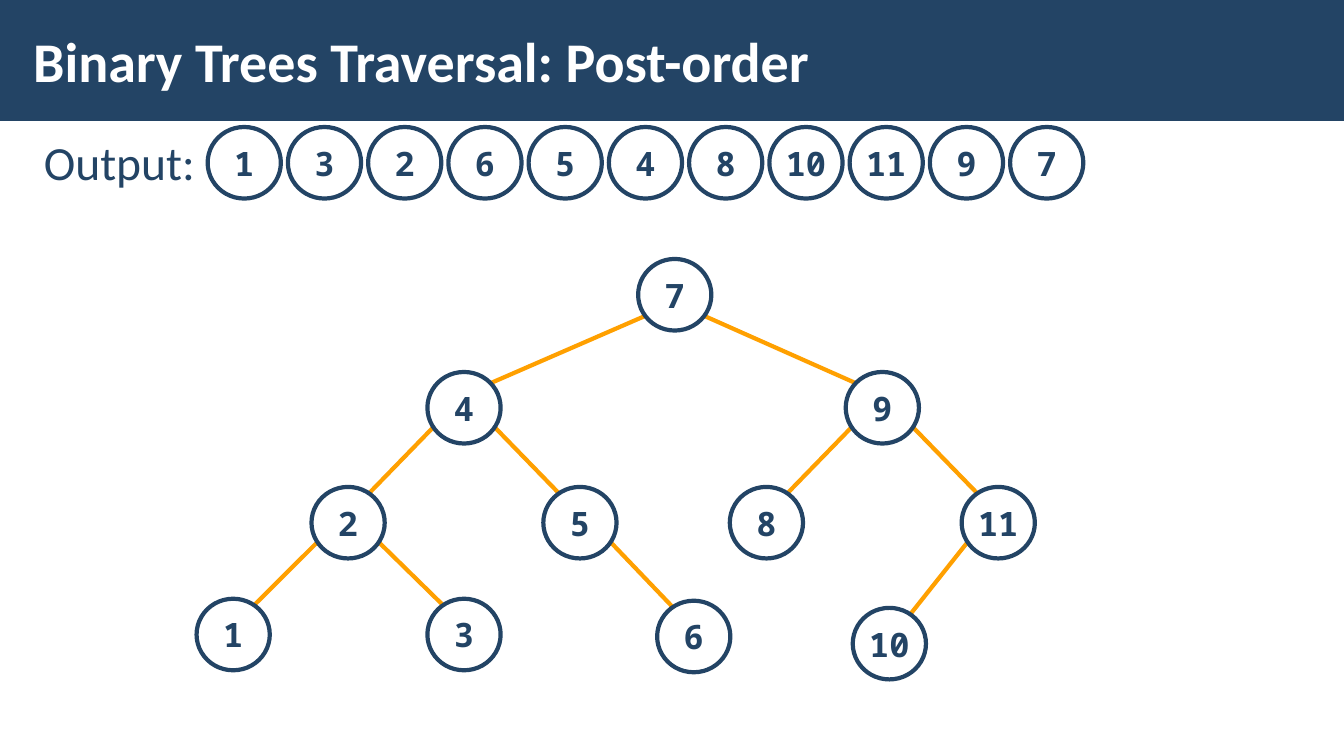
from lxml import etree
from pptx import Presentation
from pptx.dml.color import RGBColor
from pptx.enum.shapes import MSO_CONNECTOR, MSO_SHAPE
from pptx.enum.text import MSO_ANCHOR, PP_ALIGN
from pptx.oxml.ns import qn
from pptx.util import Pt

NAVY = RGBColor(0x23, 0x44, 0x65)
ORANGE = RGBColor(0xFF, 0xA0, 0x00)
WHITE = RGBColor(0xFF, 0xFF, 0xFF)
NODE_WIDTH, NODE_HEIGHT = 52.3, 51.1

# Left and top of each tree node
NODES = {
    7: (455.8, 185),
    4: (305.3, 265.7), 9: (604.1, 265.7),
    2: (222.5, 347.8), 5: (388.1, 347.8), 8: (521.3, 347.8), 11: (686.9, 347.8),
    1: (140.4, 427.7), 3: (305.3, 427.7), 6: (469.4, 429.1), 10: (609.1, 434.2),
}
EDGES = [(7, 4), (7, 9), (4, 2), (4, 5), (9, 8), (9, 11),
         (2, 1), (2, 3), (5, 6), (11, 10)]
ROOT = 7
POST_ORDER = [1, 3, 2, 6, 5, 4, 8, 10, 11, 9, 7]
OUTPUT_LEFT, OUTPUT_TOP, OUTPUT_STEP = 148.3, 90.7, 57.32

presentation = Presentation()
presentation.slide_width, presentation.slide_height = Pt(960), Pt(540)
slide = presentation.slides.add_slide(presentation.slide_layouts[5])
shapes = slide.shapes


def add_node(value, left, top, filled):
    """Draw a numbered circle, half-transparent white when filled."""
    node = shapes.add_shape(MSO_SHAPE.OVAL, Pt(left), Pt(top),
                            Pt(NODE_WIDTH), Pt(NODE_HEIGHT))
    node.shadow.inherit = False
    if filled:
        node.fill.solid()
        node.fill.fore_color.rgb = WHITE
        color = node.element.spPr.find(qn("a:solidFill"))[0]
        etree.SubElement(color, qn("a:alpha"), val="50000")
    else:
        node.fill.background()
    node.line.color.rgb = NAVY
    node.line.width = Pt(3)
    frame = node.text_frame
    frame.word_wrap = False
    frame.vertical_anchor = MSO_ANCHOR.MIDDLE
    paragraph = frame.paragraphs[0]
    paragraph.text = str(value)
    paragraph.alignment = PP_ALIGN.CENTER
    style_font(paragraph.font, "Noto Sans Mono", 24, NAVY, True)


def style_font(font, name, size, color, bold):
    font.name, font.size, font.bold = name, Pt(size), bold
    font.color.rgb = color


# Title on its bar
title = shapes.title
bar = shapes.add_shape(MSO_SHAPE.RECTANGLE, 0, 0, Pt(960), Pt(86.4))
bar.shadow.inherit = False
bar.fill.solid()
bar.fill.fore_color.rgb = NAVY
bar.line.fill.background()
title.element.addprevious(bar.element)

title.left, title.top, title.width, title.height = Pt(15.1), Pt(7.9), Pt(765.4), Pt(69.8)
frame = title.text_frame
frame.text = "Binary Trees Traversal: Post-order"
frame.word_wrap = True
frame.vertical_anchor = MSO_ANCHOR.MIDDLE
frame.margin_left = frame.margin_right = Pt(8.6)
frame.margin_top = frame.margin_bottom = Pt(2.9)
paragraph = frame.paragraphs[0]
paragraph.alignment = PP_ALIGN.LEFT
style_font(paragraph.font, "Calibri", 40, WHITE, True)

# Output row
label = shapes.add_textbox(Pt(15.1), Pt(90), Pt(929.5), Pt(435.6))
frame = label.text_frame
frame.word_wrap = True
frame.margin_left, frame.margin_right = Pt(16.3), Pt(8.6)
frame.margin_top = frame.margin_bottom = Pt(2.9)
paragraph = frame.paragraphs[0]
paragraph.text = "Output:"
paragraph.line_spacing = 1.05
paragraph.space_after = Pt(6)
style_font(paragraph.font, "Calibri", 34, NAVY, False)

for index, value in enumerate(POST_ORDER):
    add_node(value, OUTPUT_LEFT + index * OUTPUT_STEP, OUTPUT_TOP, filled=index > 0)

# Tree: edges run between the rims of the circles
for parent, child in EDGES:
    parent_left, parent_top = NODES[parent]
    child_left, child_top = NODES[child]
    side = 1 if child_left > parent_left else -1
    end_x, end_y = (20, 18) if parent == ROOT else (15, 21)
    edge = shapes.add_connector(
        MSO_CONNECTOR.STRAIGHT,
        Pt(parent_left + NODE_WIDTH / 2 + side * 22),
        Pt(parent_top + NODE_HEIGHT / 2 + (15.5 if parent == ROOT else 14)),
        Pt(child_left + NODE_WIDTH / 2 - side * end_x),
        Pt(child_top + NODE_HEIGHT / 2 - end_y))
    edge.line.color.rgb = ORANGE
    edge.line.width = Pt(3)
    etree.SubElement(edge.element.spPr, qn("a:effectLst"))

for value, (left, top) in NODES.items():
    add_node(value, left, top, filled=value != ROOT)

presentation.save("out.pptx")
